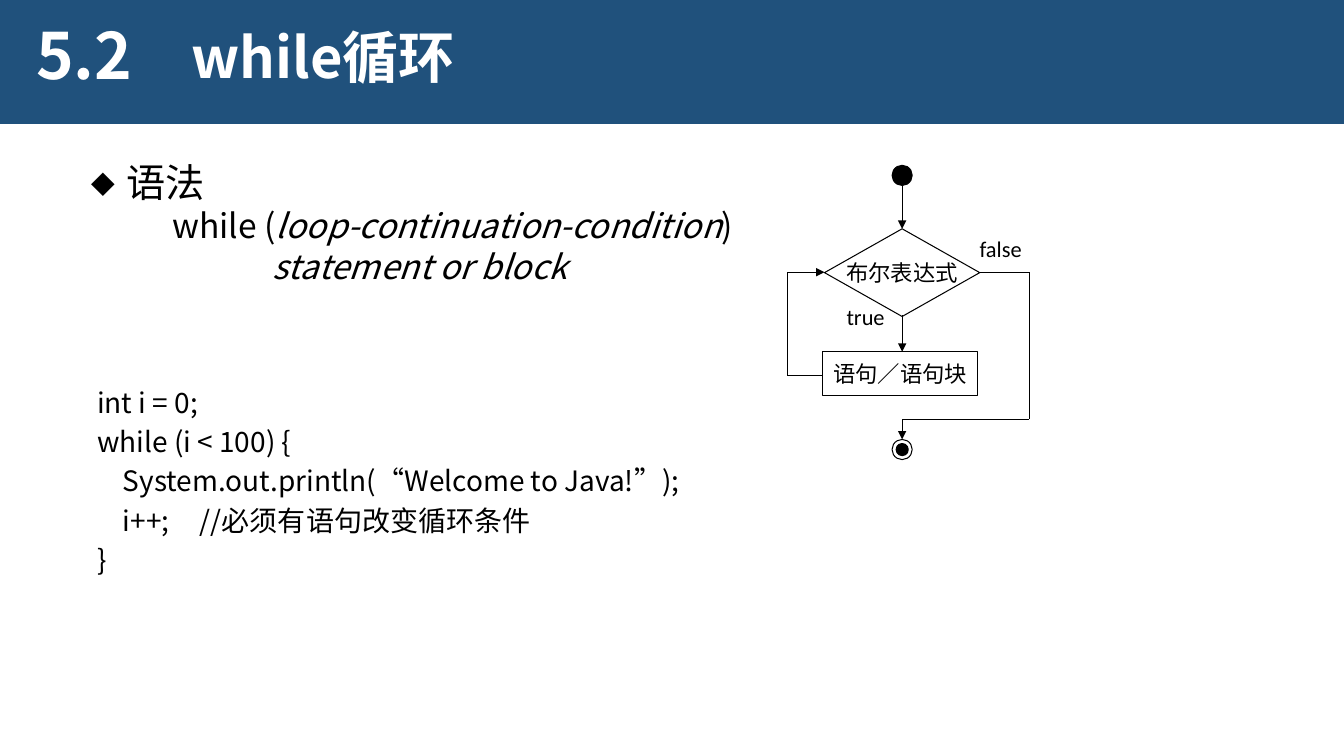
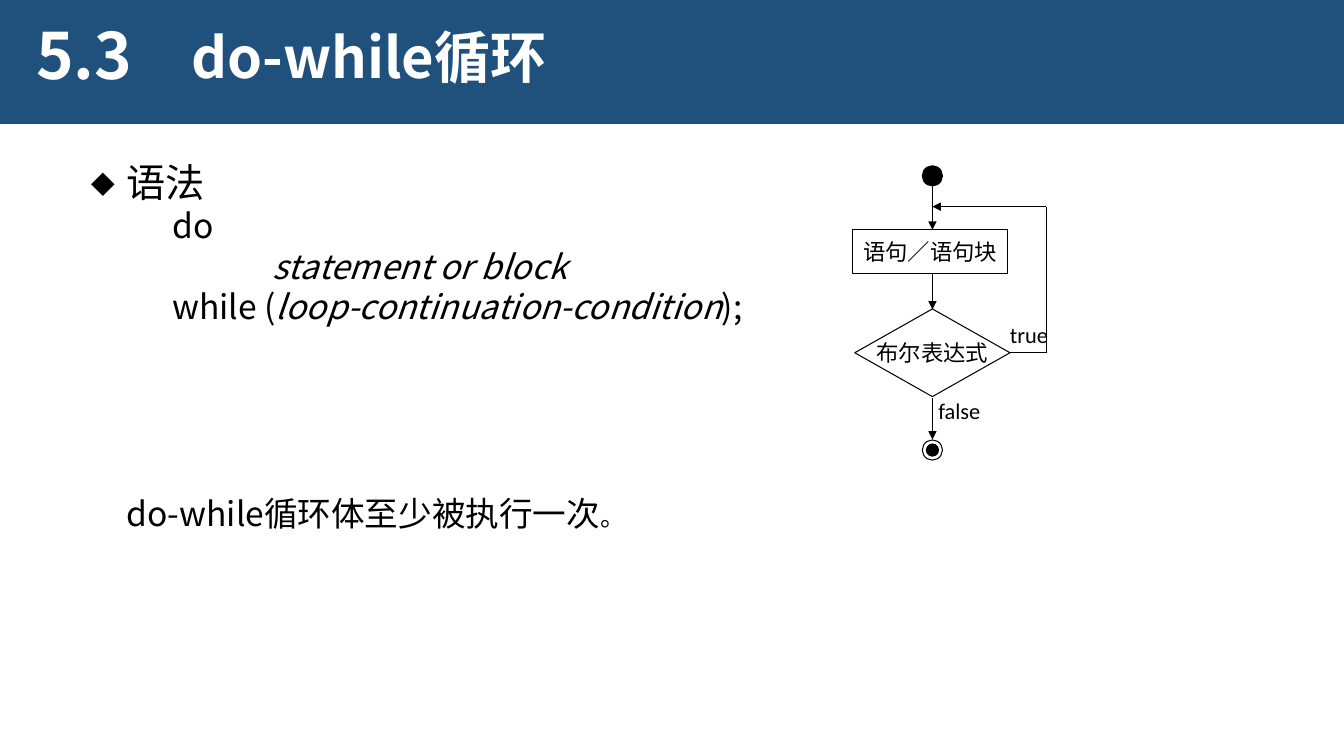
from dataclasses import dataclass
from itertools import pairwise
from typing import NamedTuple

from lxml.etree import SubElement
from pptx import Presentation
from pptx.dml.color import RGBColor
from pptx.enum.lang import MSO_LANGUAGE_ID as Language
from pptx.enum.shapes import MSO_CONNECTOR as Connector, MSO_SHAPE as Preset
from pptx.enum.text import MSO_ANCHOR as Anchor, PP_ALIGN as Align
from pptx.oxml.ns import qn
from pptx.shapes.autoshape import Shape
from pptx.slide import Slide
from pptx.text.text import _Paragraph as Paragraph
from pptx.util import Inches, Length, Pt

COLORS = {"band": "20517C", "title": "FFFFFF", "ink": "000000"}
HAN, LATIN, MONO = "Noto Sans CJK SC", "Calibri", "Noto Sans Mono"
COLUMNS, ROWS = 133.33, 75


class Area(NamedTuple):
    left: float
    top: float
    width: float
    height: float


class Piece(NamedTuple):
    text: str
    size: float
    italic: bool = False
    bold: bool = False
    color: str = "ink"
    font: str = HAN


class Line(NamedTuple):
    pieces: list[Piece]
    level: int = 0
    bullet: bool = False
    tab: float = 10


class Node(NamedTuple):
    preset: Preset
    area: Area
    text: str = ""
    filled: bool = False


class Label(NamedTuple):
    text: str
    area: Area


class Route(NamedTuple):
    points: list[tuple[float, float]]


@dataclass
class Flow:
    axis: float
    nodes: list[Node]
    routes: list[Route]
    labels: list[Label]


@dataclass
class Topic:
    number: str
    title: str
    syntax: list[Line]
    example: list[Line]
    example_area: Area
    flow: Flow


def cells(count: float) -> Length:
    """Convert grid cells to a length."""
    return Inches(count / 10)


def place(area: Area, shift: float = 0) -> list[Length]:
    """Convert an area to lengths, moved right by a number of columns."""
    return [cells(value) for value in area._replace(left=area.left + shift)]


def color(name: str) -> RGBColor:
    """Look up a named colour."""
    return RGBColor.from_string(COLORS[name])


def write(paragraph: Paragraph, pieces: list[Piece]) -> None:
    """Write formatted runs into a paragraph."""
    for piece in pieces:
        run = paragraph.add_run()
        run.text = piece.text
        font = run.font
        font.size, font.name = Pt(piece.size), piece.font
        font.bold, font.italic = piece.bold, piece.italic
        font.color.rgb = color(piece.color)
        font.language_id = Language.SIMPLIFIED_CHINESE
        if piece.font != LATIN:
            SubElement(run._r.get_or_add_rPr(), qn("a:ea"), typeface=piece.font)


def add_text(slide: Slide, area: Area, lines: list[Line], spacing: float = 1,
             gap: float = 0, shift: float = 0, wrap: bool = True) -> None:
    """Add a text box with one paragraph for each line."""
    text_frame = slide.shapes.add_textbox(*place(area, shift)).text_frame
    text_frame.word_wrap = wrap
    for index, line in enumerate(lines):
        paragraph = text_frame.add_paragraph() if index else text_frame.paragraphs[0]
        paragraph.line_spacing, paragraph.space_before = spacing, Pt(gap)
        write(paragraph, line.pieces)
        properties = paragraph._p.get_or_add_pPr()
        if line.level:
            properties.set("marL", str(cells(2.55 * line.level)))
        if line.bullet:
            properties.set("marL", str(cells(3.8)))
            properties.set("indent", str(-cells(3)))
            SubElement(properties, qn("a:buFont"), typeface=MONO)
            SubElement(properties, qn("a:buChar"), char="◆")
        if any("\t" in piece.text for piece in line.pieces):
            stops = SubElement(properties, qn("a:tabLst"))
            for step in (1, 2):
                SubElement(stops, qn("a:tab"), pos=str(cells(step * line.tab)), algn="l")


def add_outline(slide: Slide, preset: Preset, area: Area, fill: str | None,
                line: str | None, shift: float = 0) -> Shape:
    """Add a preset shape without a shadow."""
    shape = slide.shapes.add_shape(preset, *place(area, shift))
    shape.shadow.inherit = False
    if fill:
        shape.fill.solid()
        shape.fill.fore_color.rgb = color(fill)
    else:
        shape.fill.background()
    if line:
        shape.line.color.rgb, shape.line.width = color(line), Pt(0.75)
    else:
        shape.line.fill.background()
    return shape


def add_route(slide: Slide, route: Route, axis: float) -> None:
    """Join points with lines and end in an arrowhead."""
    for start, end in pairwise(route.points):
        ends = [cells(value) for x, y in (start, end) for value in (axis + x, y)]
        connector = slide.shapes.add_connector(Connector.STRAIGHT, *ends)
        connector.line.color.rgb, connector.line.width = color("ink"), Pt(0.75)
        if end == route.points[-1]:
            SubElement(connector.line._get_or_add_ln(), qn("a:tailEnd"), type="triangle")
        SubElement(connector._element.spPr, qn("a:effectLst"))


def add_flow(slide: Slide, flow: Flow) -> None:
    """Draw a flowchart around its vertical axis."""
    for node in flow.nodes:
        shape = add_outline(slide, node.preset, node.area, "ink" if node.filled else None,
                            "ink", flow.axis)
        if node.text:
            shape.text_frame.word_wrap = False
            shape.text_frame.vertical_anchor = Anchor.MIDDLE
            paragraph = shape.text_frame.paragraphs[0]
            paragraph.alignment = Align.CENTER
            write(paragraph, [Piece(node.text, 16, font=LATIN)])
    for route in flow.routes:
        add_route(slide, route, flow.axis)
    for label in flow.labels:
        add_text(slide, label.area, [Line([Piece(label.text, 16, font=LATIN)])],
                 shift=flow.axis, wrap=False)


def add_topic(presentation: Presentation, topic: Topic) -> None:
    """Build one slide with its title band, syntax, example and flowchart."""
    slide = presentation.slides.add_slide(presentation.slide_layouts[6])
    add_outline(slide, Preset.RECTANGLE, Area(-0.3, 0, COLUMNS + 0.3, 12.3), "band", None)
    headings = ((Area(2.6, 1.9, 13.7, 9.1), topic.number, 45.6),
                (Area(18, 2.5, 80.9, 5.4), topic.title, 40))
    for area, text, size in headings:
        add_text(slide, area, [Line([Piece(text, size, bold=True, color="title")])], 0.9)
    add_text(slide, Area(6.1, 15.2, 116.9, 5.6 * len(topic.syntax)), topic.syntax)
    add_text(slide, topic.example_area, topic.example, gap=4.2)
    add_flow(slide, topic.flow)


def circle(center: float, diameter: float, filled: bool) -> Node:
    """Describe a circle on the flow axis."""
    area = Area(-diameter / 2, center - diameter / 2, diameter, diameter)
    return Node(Preset.OVAL, area, filled=filled)


def flow_nodes(start: float, decision: float, process: float) -> list[Node]:
    """Describe the start, the end, the decision and the process of a loop."""
    end = start + 27.2
    return [
        circle(start, 2, True), circle(end, 2, False), circle(end, 1.2, True),
        Node(Preset.FLOWCHART_DECISION, Area(-7.7, decision, 15.4, 8.7), "布尔表达式"),
        Node(Preset.FLOWCHART_PROCESS, Area(-7.9, process, 15.4, 4.3), "语句／语句块"),
    ]


HEADING = Line([Piece("语法", 28)], bullet=True)
BODY = Line([Piece("\t\t", 24), Piece("statement or block", 24, italic=True)])


def condition(ending: str) -> Line:
    """Describe the line that holds the loop condition."""
    return Line([Piece("\twhile (", 24), Piece("loop-continuation-condition", 24, italic=True),
                 Piece(ending, 24)])


WHILE_CODE = [
    ("int i = 0;", 0),
    ("while (i < 100) {", 0),
    ("System.out.println(“Welcome to Java!”);", 1),
    ("i++;\t//必须有语句改变循环条件", 1),
    ("}", 0),
]

TOPICS = [
    Topic(
        "5.2", "while循环", [HEADING, condition(")"), BODY],
        [Line([Piece(text, 20)], level, tab=7.65) for text, level in WHILE_CODE],
        Area(8.65, 37.7, 78.8, 21.9),
        Flow(89.5, flow_nodes(17.4, 22.7, 34.9), [
            Route([(0, 18.4), (0, 22.7)]),
            Route([(0, 31.3), (0, 34.9)]),
            Route([(-7.9, 37.3), (-11.4, 37.3), (-11.4, 27), (-7.7, 27)]),
            Route([(7.7, 27), (12.6, 27), (12.6, 41.6), (0, 41.6), (0, 43.6)]),
        ], [Label("true", Area(-6.5, 29.6, 6.6, 3.7)),
            Label("false", Area(6.7, 22.8, 6.2, 3.7))]),
    ),
    Topic(
        "5.3", "do-while循环",
        [HEADING, Line([Piece("\tdo", 24)]), BODY, condition(");")],
        [Line([Piece("do-while循环体至少被执行一次", 24), Piece("。", 18, font=MONO)])],
        Area(11.55, 48.4, 78.8, 3.5),
        Flow(92.5, flow_nodes(17.45, 30.65, 22.8), [
            Route([(0, 18.5), (0, 22.8)]),
            Route([(0, 27.1), (0, 30.7)]),
            Route([(0, 39.5), (0, 43.6)]),
            Route([(7.7, 35), (11.3, 35), (11.3, 20.5), (0, 20.5)]),
        ], [Label("true", Area(6.7, 31.4, 6.6, 3.7)),
            Label("false", Area(-0.4, 38.9, 7.3, 3.7))]),
    ),
]


def build() -> None:
    """Build and save the presentation."""
    presentation = Presentation()
    presentation.slide_width, presentation.slide_height = cells(COLUMNS), cells(ROWS)
    for topic in TOPICS:
        add_topic(presentation, topic)
    presentation.save("out.pptx")


build()
